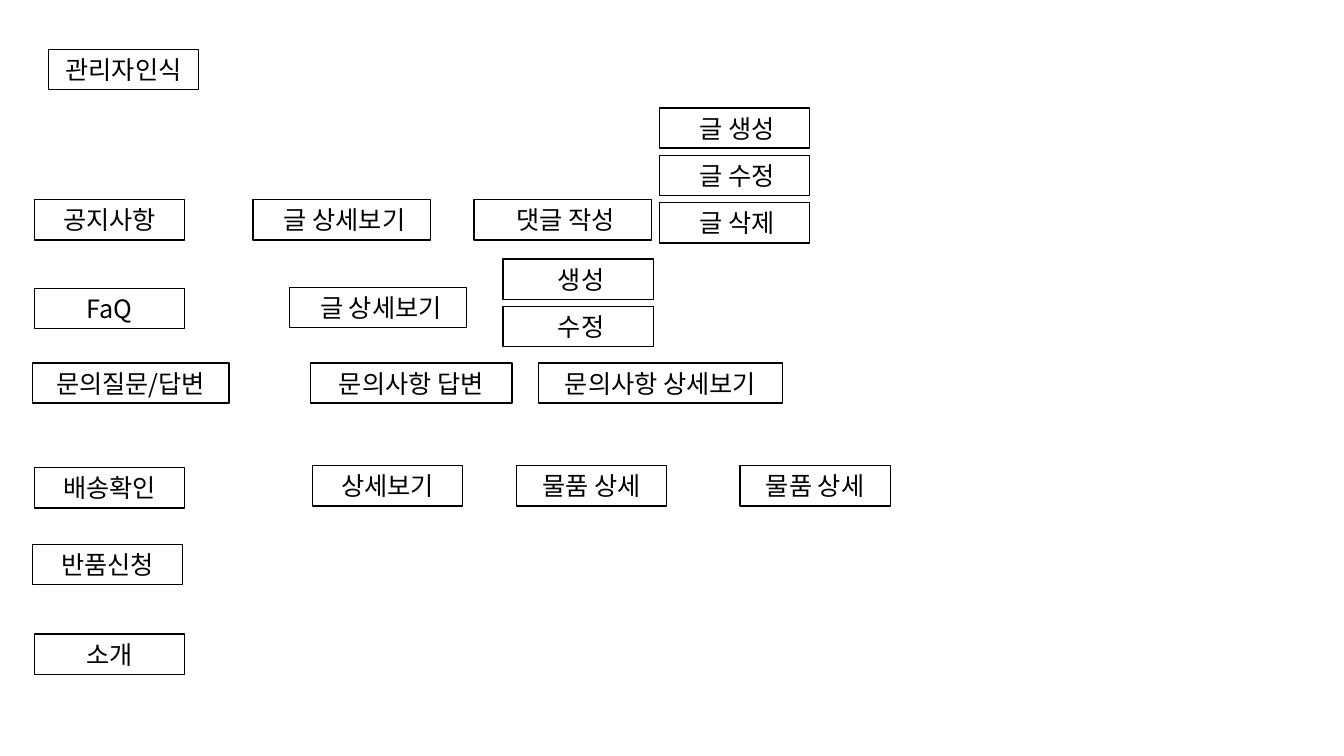
from lxml import etree
from pptx import Presentation
from pptx.dml.color import RGBColor
from pptx.enum.shapes import MSO_SHAPE
from pptx.enum.text import MSO_ANCHOR, MSO_AUTO_SIZE, PP_ALIGN
from pptx.oxml.ns import qn
from pptx.util import Inches, Pt

FONT = "Noto Sans CJK KR"
COLORS = {"fill": "FFFFFF", "ink": "000000"}
BOX_W, BOX_H = 1.49, 0.4
STACK_STEP = 0.47
NBSP = "\u00a0"

# Menu rows: top, then (label, left, width)
ROWS = [
    (0.49, [("관리자인식", 0.48, BOX_W)]),
    (1.98, [("공지사항", 0.34, BOX_W), (NBSP + "글 상세보기", 2.51, 1.76),
            (NBSP + "댓글 작성", 4.7, 1.76)]),
    (2.86, [("FaQ", 0.34, BOX_W)]),
    (2.85, [(NBSP + "글 상세보기", 2.87, 1.76)]),
    (3.6, [("문의질문/답변", 0.32, 1.95), ("문의사항 답변", 3.08, 2),
           ("문의사항 상세보기", 5.34, 2.42)]),
    (4.64, [("배송확인", 0.34, BOX_W)]),
    (4.62, [("상세보기", 3.1, BOX_W), ("물품 상세", 5.12, BOX_W),
            ("물품 상세", 7.34, BOX_W)]),
    (5.4, [("반품신청", 0.32, BOX_W)]),
    (6.29, [("소개", 0.34, BOX_W)]),
]

# Stacked actions: left, first top, labels
STACKS = [
    (6.54, 1.07, ["글 생성", "글 수정", "글 삭제"]),
    (4.99, 2.57, ["생성", "수정"]),
]

prs = Presentation()
prs.slide_width, prs.slide_height = Inches(13.33), Inches(7.5)
slide = prs.slides.add_slide(prs.slide_layouts[6])


def color(name):
    return RGBColor.from_string(COLORS[name])


def add_box(label, left, top, width=BOX_W):
    box = slide.shapes.add_shape(MSO_SHAPE.RECTANGLE, Inches(left), Inches(top),
                                 Inches(width), Inches(BOX_H))
    box.shadow.inherit = False
    box.fill.solid()
    box.fill.fore_color.rgb = color("fill")
    box.line.color.rgb = color("ink")
    box.line.width = Pt(1)

    frame = box.text_frame
    frame.word_wrap = True
    frame.auto_size = MSO_AUTO_SIZE.SHAPE_TO_FIT_TEXT
    frame.vertical_anchor = MSO_ANCHOR.MIDDLE
    paragraph = frame.paragraphs[0]
    paragraph.alignment = PP_ALIGN.CENTER
    run = paragraph.add_run()
    run.text = label
    run.font.size = Pt(18)
    run.font.name = FONT
    run.font.color.rgb = color("ink")
    # Korean glyphs use the East Asian font slot
    etree.SubElement(run.font._element, qn("a:ea"), typeface=FONT)


# Menu rows
for top, boxes in ROWS:
    for label, left, width in boxes:
        add_box(label, left, top, width)

# Stacked actions
for left, first_top, labels in STACKS:
    for i, label in enumerate(labels):
        add_box(NBSP + label, left, first_top + i * STACK_STEP)

prs.save("out.pptx")
